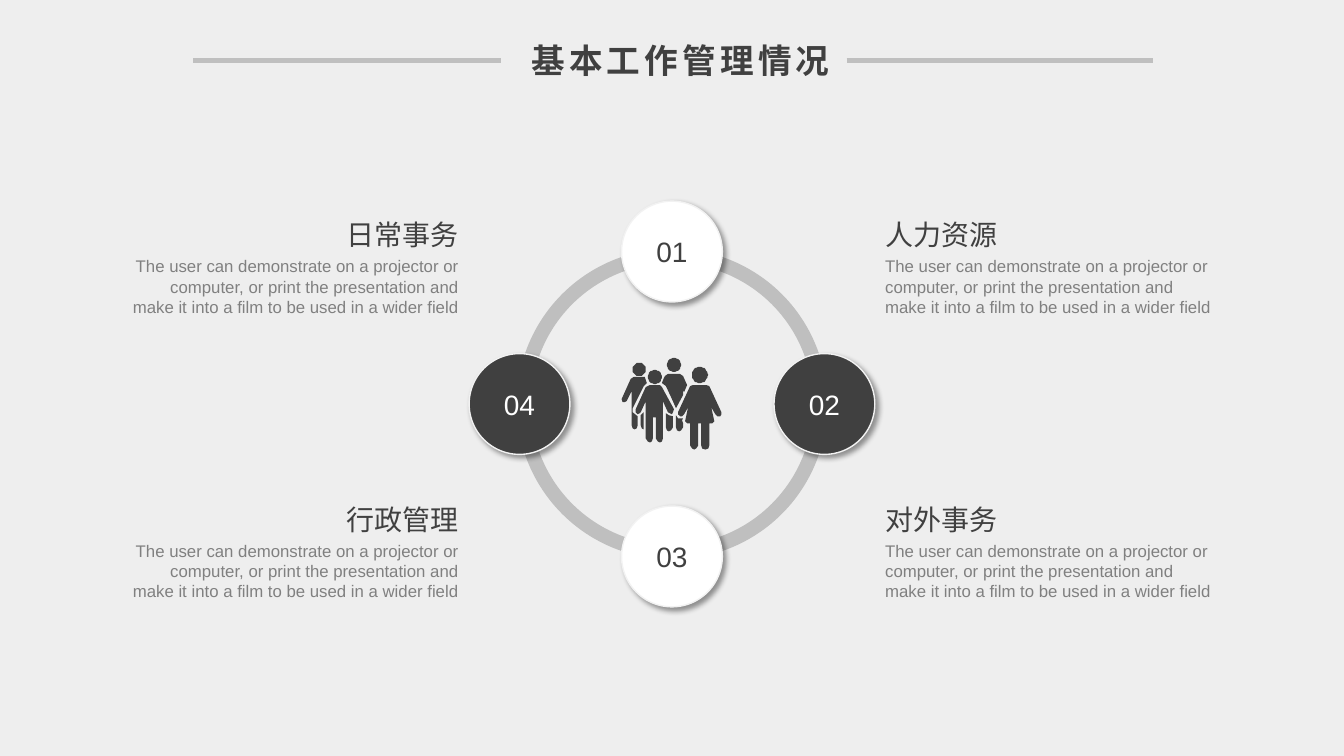
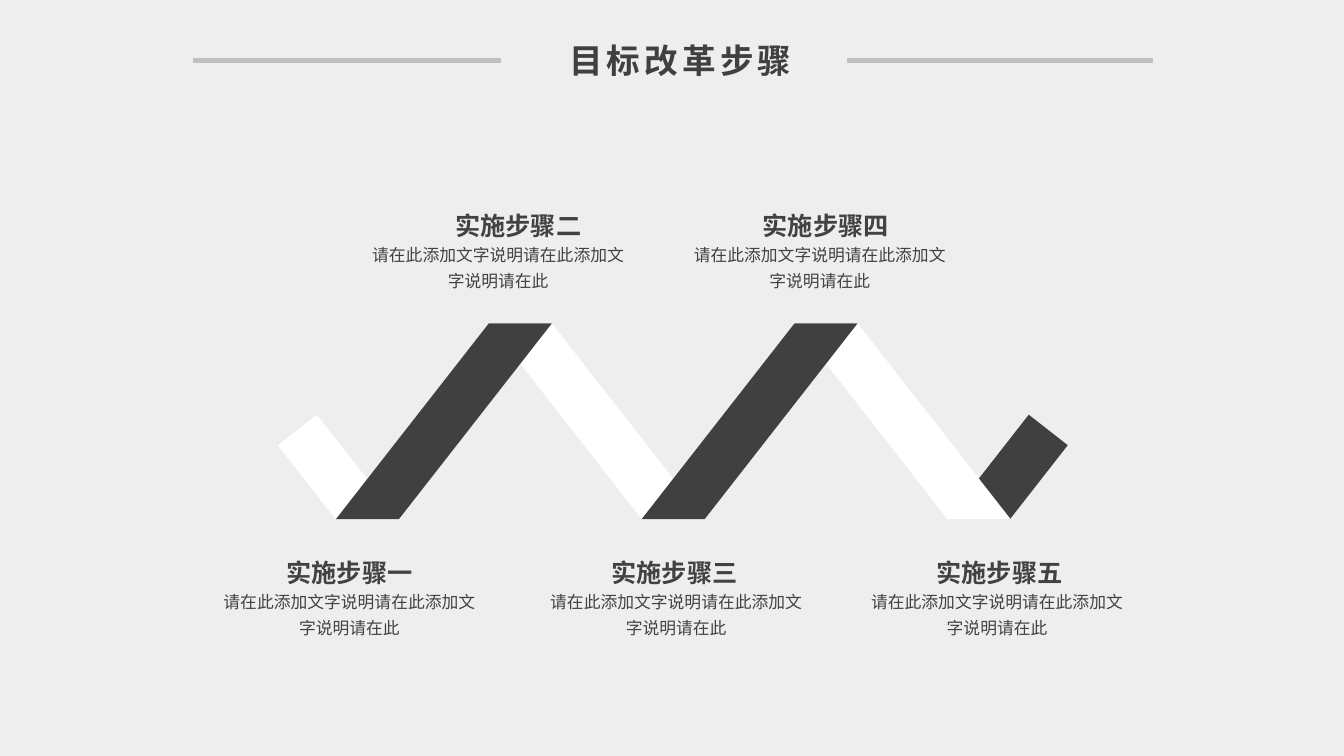
import math

from lxml import etree
from pptx import Presentation
from pptx.dml.color import RGBColor
from pptx.enum.shapes import MSO_CONNECTOR, MSO_SHAPE
from pptx.enum.text import MSO_ANCHOR, MSO_AUTO_SIZE, PP_ALIGN
from pptx.oxml.ns import qn
from pptx.util import Inches, Pt

# Enum members
LEFT, CENTER, RIGHT = PP_ALIGN.LEFT, PP_ALIGN.CENTER, PP_ALIGN.RIGHT
TOP, MIDDLE = MSO_ANCHOR.TOP, MSO_ANCHOR.MIDDLE
FIT_SHAPE, NO_FIT = MSO_AUTO_SIZE.SHAPE_TO_FIT_TEXT, MSO_AUTO_SIZE.NONE
OVAL, DONUT, RECTANGLE = MSO_SHAPE.OVAL, MSO_SHAPE.DONUT, MSO_SHAPE.RECTANGLE
PARALLELOGRAM = MSO_SHAPE.PARALLELOGRAM
STRAIGHT = MSO_CONNECTOR.STRAIGHT

# Shared style
PAPER = RGBColor(0xEE, 0xEE, 0xEE)
WHITE = RGBColor(0xFF, 0xFF, 0xFF)
EDGE = RGBColor(0xF2, 0xF2, 0xF2)
SILVER = RGBColor(0xBF, 0xBF, 0xBF)
GRAY = RGBColor(0x80, 0x80, 0x80)
STEP_GRAY = RGBColor(0x42, 0x42, 0x42)
DARK = RGBColor(0x40, 0x40, 0x40)
LATIN, CHINESE = "Arial", "Noto Sans CJK SC"

# Square grid: 160 columns by 90 rows
COLUMNS, ROWS = 160, 90
CELL = Inches(1) / 12
TITLE_AREA = (60.2, 4.1, 41.6, 6)
RULE_ROW = 7.2
RULE_SPANS = ((23, 59.6), (100.8, 137.3))

# Wording
TOPIC_TEXT = ("The user can demonstrate on a projector or computer, or print "
              "the presentation and make it into a film to be used in a wider field")
STEP_TEXT = "请在此添加文字说明请在此添加文字说明请在此"

# People icon, in hundredths of an inch from its top left corner
HEADS = ((33, 19, 7), (77.5, 17, 8), (17.5, 11.5, 6.5), (52, 7, 7))
# Axis and right half of each symmetric front figure
FRONT_FIGURES = (
    (32.5, ((5, 27), (8, 29), (19, 51), (18.5, 54), (17, 55.5), (15, 55),
            (13.5, 53.5), (8.5, 43), (8.5, 80), (7, 83), (5, 84), (3, 83),
            (1.5, 80), (1.5, 59))),
    (77.5, ((6.5, 27), (9.5, 28), (21.5, 54), (21.5, 56.5), (20, 58),
            (17.5, 58), (15.5, 56), (11.5, 49), (14.5, 63), (12.5, 65),
            (9.5, 65), (9.5, 87), (8, 90), (5.5, 91), (3, 90), (1.5, 87),
            (1.5, 65))),
)
BACK_PARTS = (
    ((12, 19), (23, 19), (25, 25), (22, 28), (11, 50), (11, 54), (16, 58),
     (16, 67), (15, 70), (13, 71), (11, 70), (10, 67), (10, 33), (5, 43),
     (3, 44.5), (1, 44), (0, 41), (9, 21)),
    ((22, 54), (22, 71), (20, 70), (19, 67), (19, 57), (21, 55)),
    ((46, 16), (58, 16), (61, 18), (65, 27), (62, 34), (61, 32), (61, 37),
     (54, 50), (50, 41), (44, 28), (40, 25), (42, 20), (43, 18)),
    ((54, 57), (56, 60), (61, 60), (60, 62), (61, 65), (61, 69), (59, 72),
     (57, 73), (55, 72), (54, 69)),
    ((44, 55), (47, 57), (51, 58), (51, 69), (49, 72), (47, 73), (45, 72),
     (44, 69)),
)


def people_contours():
    """Return the closed outlines of the four people."""
    turns = [math.tau * step / 32 for step in range(32)]
    heads = [[(x + r * math.cos(turn), y + r * math.sin(turn)) for turn in turns]
             for x, y, r in HEADS]
    fronts = [[(axis + dx, y) for dx, y in half]
              + [(axis - dx, y) for dx, y in reversed(half)]
              for axis, half in FRONT_FIGURES]
    return [*heads, *fronts, *BACK_PARTS]


def cells(*lengths):
    return [round(length * CELL) for length in lengths]


class Board:
    """Holds the deck, its style and the current slide."""

    def __init__(self):
        self.deck = Presentation()
        self.deck.slide_width, self.deck.slide_height = cells(COLUMNS, ROWS)
        fill = self.deck.slide_master.background.fill
        fill.solid()
        fill.fore_color.rgb = PAPER
        self.slide = None

    def start(self, title):
        self.slide = self.deck.slides.add_slide(self.deck.slide_layouts[5])
        for first, last in RULE_SPANS:
            self.rule(first, last, RULE_ROW)
        box = self.slide.shapes.title
        box.left, box.top, box.width, box.height = cells(*TITLE_AREA)
        self.set_text(box, title, 24, DARK, CHINESE, bold=True, spacing=3)
        box.text_frame.auto_size = NO_FIT

    def set_text(self, box, text, size, color, font, align=CENTER, anchor=TOP,
                 bold=False, leading=1.0, spacing=0):
        frame = box.text_frame
        frame.text = text
        frame.word_wrap = True
        frame.vertical_anchor = anchor
        para = frame.paragraphs[0]
        para.alignment = align
        para.line_spacing = leading
        span = para.runs[0]
        span.font.size = Pt(size)
        span.font.bold = bold
        span.font.name = font
        span.font.color.rgb = color
        properties = span._r.get_or_add_rPr()
        etree.SubElement(properties, qn("a:ea"), typeface=CHINESE)
        if spacing:
            properties.set("spc", str(spacing * 100))

    def text(self, area, text, size, color, font, **style):
        box = self.slide.shapes.add_textbox(*cells(*area))
        self.set_text(box, text, size, color, font, **style)
        box.text_frame.auto_size = FIT_SHAPE

    def rule(self, first, last, row):
        line = self.slide.shapes.add_connector(
            STRAIGHT, *cells(first, row, last, row))
        line.line.color.rgb = SILVER
        line.line.width = Pt(3)
        etree.SubElement(line.element.spPr, qn("a:effectLst"))

    def paint(self, shape, color):
        shape.shadow.inherit = False
        shape.fill.solid()
        shape.fill.fore_color.rgb = color
        shape.line.fill.background()

    def shape(self, kind, area, color, adjust=None, turn=0, flip=False):
        shape = self.slide.shapes.add_shape(kind, *cells(*area))
        self.paint(shape, color)
        shape.rotation = turn
        if adjust is not None:
            shape.adjustments[0] = adjust
        if flip:
            shape.element.spPr.find(qn("a:xfrm")).set("flipV", "1")
        return shape

    def badge(self, x, y, size, label, color, ink):
        """Draw a numbered disc around a centre, with a soft shadow."""
        disc = self.shape(OVAL, (x - size / 2, y - size / 2, size, size), color)
        disc.line.color.rgb = EDGE
        disc.line.width = Pt(1)
        effects = disc.element.spPr.find(qn("a:effectLst"))
        shadow = etree.SubElement(
            effects, qn("a:outerShdw"), blurRad=str(Pt(4)), dist=str(Pt(3)),
            dir="2700000", algn="tl", rotWithShape="0")
        black = etree.SubElement(shadow, qn("a:srgbClr"), val="000000")
        etree.SubElement(black, qn("a:alpha"), val="40000")
        self.set_text(disc, label, 20, ink, LATIN, anchor=MIDDLE)

    def outline(self, x, y, contours, color):
        """Draw closed contours as one shape."""
        builder = self.slide.shapes.build_freeform(
            *contours[0][0], scale=Inches(0.01))
        for contour in contours:
            builder.move_to(*contour[0])
            builder.add_line_segments(contour[1:], close=True)
        self.paint(builder.convert_to_shape(*cells(x, y)), color)


def management_slide(board):
    board.start("基本工作管理情况")

    # Ring with four numbered discs, clockwise from the top
    x, y, ring, orbit = 80, 48.1, 37, 18.15
    board.shape(DONUT, (x - ring / 2, y - ring / 2, ring, ring), SILVER, 0.046)
    board.outline(74, 42.6, people_contours(), DARK)
    for index in range(4):
        turn = math.tau * index / 4
        color, ink = ((WHITE, DARK), (DARK, WHITE))[index % 2]
        board.badge(x + orbit * math.sin(turn), y - orbit * math.cos(turn), 12,
                    f"0{index + 1}", color, ink)

    # Topics on both sides
    sides = ((104.2, LEFT, ("人力资源", "对外事务")),
             (13.8, RIGHT, ("日常事务", "行政管理")))
    for column, align, topics in sides:
        for index, topic in enumerate(topics):
            row = 25.3 + 33.9 * index
            board.text((column, row, 42, 5.3), topic, 20, DARK, CHINESE,
                       align=align)
            board.text((column, row + 4.6, 42, 8.5), TOPIC_TEXT, 12, GRAY,
                       LATIN, align=align)


def steps_slide(board):
    board.start("目标改革步骤")

    # Zigzag ribbon: two end pieces, then falling bands behind rising ones
    board.shape(RECTANGLE, (118.4, 50, 5.9, 11.2), DARK, turn=38)
    board.shape(RECTANGLE, (35.9, 50, 5.9, 11.2), WHITE, turn=322)
    pitch, height = 18.2, 23.3
    for index in (1, 3, 0, 2):
        falling = index % 2 == 1
        board.shape(PARALLELOGRAM, (40 + pitch * index, 38.5, 25.7, height),
                    WHITE if falling else DARK, pitch / height, flip=falling)

    # Steps: heading centre and text centre, alternately below and above
    steps = (("实施步骤一", 41.6, 41.6), ("实施步骤二", 61.7, 59.3),
             ("实施步骤三", 80.3, 80.5), ("实施步骤四", 98.3, 97.6),
             ("实施步骤五", 119, 118.7))
    for index, (step, heading_center, text_center) in enumerate(steps):
        row = (64.7, 23.4)[index % 2]
        board.text((heading_center - 12.2, row, 24.4, 5.5), step, 18,
                   STEP_GRAY, LATIN, bold=True, leading=1.3)
        board.text((text_center - 17, row + 4.4, 34, 7.2), STEP_TEXT, 12,
                   STEP_GRAY, CHINESE, leading=1.3)


def main():
    board = Board()
    management_slide(board)
    steps_slide(board)
    board.deck.save("out.pptx")


if __name__ == "__main__":
    main()
